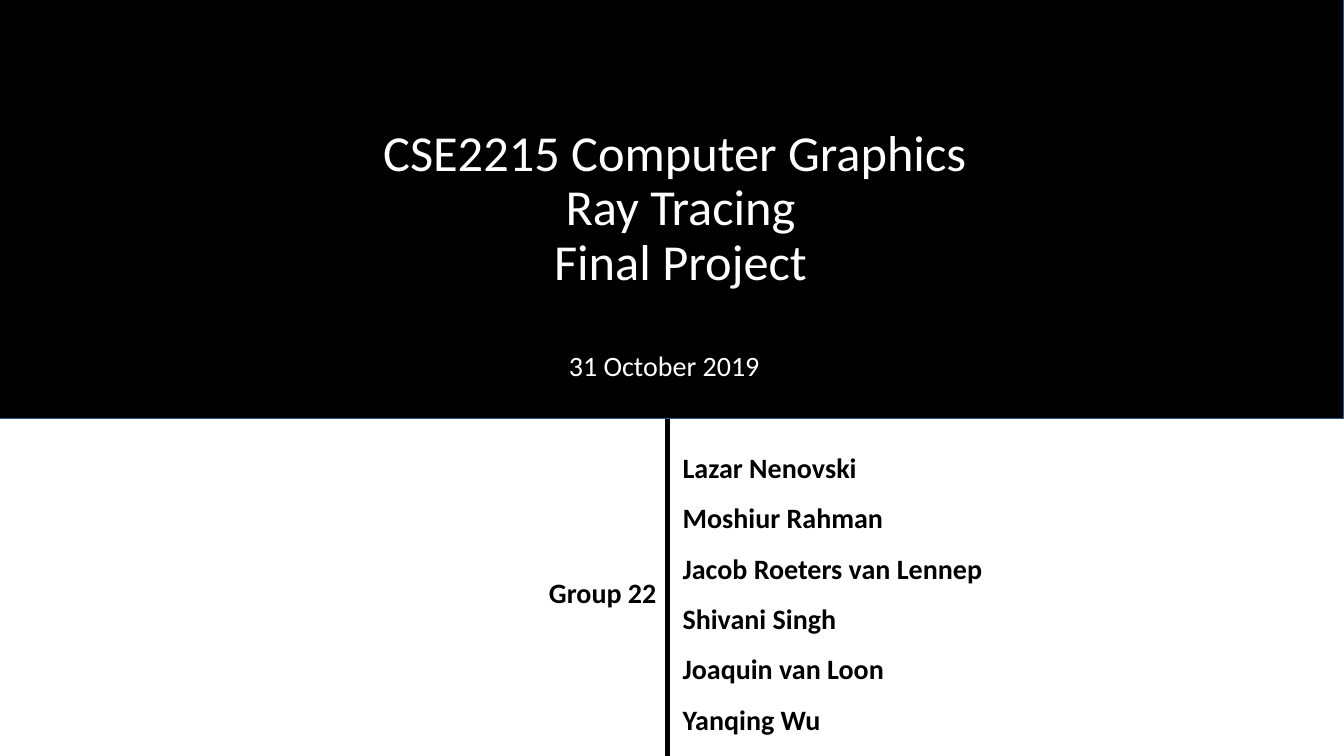
import lxml.etree
import pptx
import pptx.util
import pptx.oxml.ns
import pptx.dml.color
import pptx.enum.shapes
import pptx.enum.text

Inches = pptx.util.Inches
Align = pptx.enum.text.PP_ALIGN
Anchor = pptx.enum.text.MSO_ANCHOR
Kind = pptx.enum.shapes.MSO_SHAPE
qn = pptx.oxml.ns.qn

TITLE = ["CSE2215 Computer Graphics ", "Ray Tracing", "Final Project"]
DATE = "31 October 2019 "
GROUP = "Group 22"
NAMES = [
    "Lazar Nenovski",
    "Moshiur Rahman",
    "Jacob Roeters van Lennep",
    "Shivani Singh",
    "Joaquin van Loon",
    "Yanqing Wu",
]
THEME = {
    "font": "Calibri", "dark": "000000", "light": "FFFFFF", "edge": "31538F",
    "title": 36, "text": 20, "veil": 35,
}
WIDE, HIGH = 13.33, 7.5
SPLIT = 6.62
BOX = (3.23, 0.76)


def color(name):
    return pptx.dml.color.RGBColor.from_string(THEME[name])


def place(shape, left, top, width, height):
    shape.left, shape.top = Inches(left), Inches(top)
    shape.width, shape.height = Inches(width), Inches(height)


def paint(shape, alpha=None):
    shape.fill.solid()
    shape.fill.fore_color.rgb = color("dark")
    if alpha:
        tint = shape._element.spPr.find(qn("a:solidFill"))[0]
        lxml.etree.SubElement(tint, qn("a:alpha"), val=str(alpha * 1000))


def write(shape, paras, size, tone, align, anchor, space, bold=False):
    frame = shape.text_frame
    frame.word_wrap = True
    frame.auto_size = pptx.enum.text.MSO_AUTO_SIZE.NONE
    frame.vertical_anchor = anchor
    for i, lines in enumerate(paras):
        para = frame.add_paragraph() if i else frame.paragraphs[0]
        para.alignment = align
        para.line_spacing = space
        para.space_before = pptx.util.Pt(0)
        for j, line in enumerate(lines):
            if j:
                para.add_line_break()
            run = para.add_run()
            run.text = line
            font = run.font
            font.name, font.bold = THEME["font"], bold
            font.size = pptx.util.Pt(THEME[size])
            font.color.rgb = color(tone)


def main():
    deck = pptx.Presentation()
    deck.slide_width, deck.slide_height = Inches(WIDE), Inches(HIGH)
    slide = deck.slides.add_slide(deck.slide_layouts[0])
    shapes = slide.shapes
    title, names = slide.placeholders

    band = shapes.add_shape(Kind.RECTANGLE, 0, 0, 0, 0)
    place(band, -0.1, -0.08, WIDE + 0.1, 4.23)
    band.shadow.inherit = False
    paint(band)
    band.line.color.rgb = color("edge")
    band.line.width = pptx.util.Pt(1)
    title._element.addprevious(band._element)

    place(title, 1.75, 0.33, 10, 2.61)
    paint(title, THEME["veil"])
    write(title, [TITLE], "title", "light", Align.CENTER, Anchor.BOTTOM, 0.9)

    date = shapes.add_textbox(0, 0, 0, 0)
    place(date, 1.04, 3.08, 11.16, 0.76)
    paint(date, THEME["veil"])
    write(date, [[DATE]], "text", "light", Align.CENTER, Anchor.BOTTOM, 0.9)

    group = shapes.add_textbox(0, 0, 0, 0)
    sides = [
        (names, 6.67, 5.42, NAMES, Align.LEFT),
        (group, 3.38, 5.41, [GROUP], Align.RIGHT),
    ]
    for shape, left, top, lines, align in sides:
        place(shape, left, top, *BOX)
        paras = [[line] for line in lines]
        write(shape, paras, "text", "dark", align, Anchor.MIDDLE, 1.5, True)

    rule = shapes.add_connector(
        pptx.enum.shapes.MSO_CONNECTOR.STRAIGHT,
        Inches(SPLIT), Inches(4.16), Inches(SPLIT), Inches(HIGH))
    rule.line.color.rgb = color("dark")
    rule.line.width = pptx.util.Pt(3)
    lxml.etree.SubElement(rule._element.spPr, qn("a:effectLst"))

    deck.save("out.pptx")


if __name__ == "__main__":
    main()
